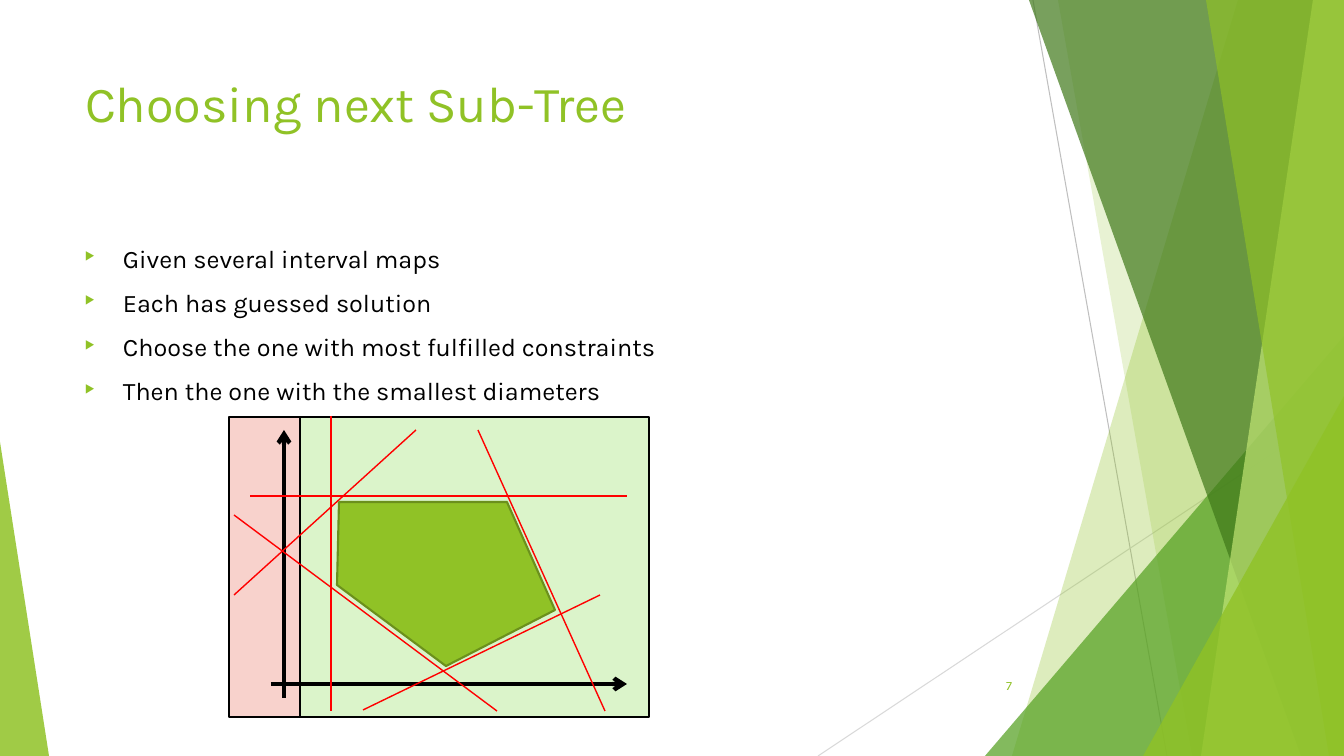
from lxml import etree
from pptx import Presentation
from pptx.dml.color import RGBColor
from pptx.enum.shapes import MSO_CONNECTOR, MSO_SHAPE
from pptx.enum.text import MSO_ANCHOR, PP_ALIGN
from pptx.oxml.ns import qn
from pptx.util import Pt

STRAIGHT = MSO_CONNECTOR.STRAIGHT
RECTANGLE, TRIANGLE = MSO_SHAPE.RECTANGLE, MSO_SHAPE.ISOSCELES_TRIANGLE
TOP, MIDDLE = MSO_ANCHOR.TOP, MSO_ANCHOR.MIDDLE
LEFT, RIGHT = PP_ALIGN.LEFT, PP_ALIGN.RIGHT

SCALE = 914400 / 100.8
WIDTH, HEIGHT = 1344, 756
FONT = "Karla"
BLACK = RGBColor(0x00, 0x00, 0x00)
RED = RGBColor(0xFF, 0x00, 0x00)
GREEN = RGBColor(0x90, 0xC2, 0x26)
MID_GREEN = RGBColor(0x54, 0xA0, 0x21)
DARK_GREEN = RGBColor(0x3F, 0x78, 0x19)
LIGHT_GREEN = RGBColor(0xC0, 0xE4, 0x74)
EDGE_GREEN = RGBColor(0x6B, 0x90, 0x1C)
PALE_GREEN = RGBColor(0xDB, 0xF4, 0xCA)
PALE_RED = RGBColor(0xF8, 0xD2, 0xCC)
GREY = RGBColor(0xBF, 0xBF, 0xBF)
LIGHT_GREY = RGBColor(0xD9, 0xD9, 0xD9)


def emu(pixels):
    return round(pixels * SCALE)


def add_element(parent, tag, **attributes):
    element = etree.SubElement(parent, qn(tag))
    for name, value in attributes.items():
        element.set(name, str(value))
    return element


def write_text(frame, lines, size, color=BLACK, align=LEFT, anchor=TOP,
               space_before=0, bullet=None):
    frame.word_wrap = True
    frame.vertical_anchor = anchor
    for index, line in enumerate(lines):
        para = frame.paragraphs[0] if index == 0 else frame.add_paragraph()
        para.alignment = align
        para.space_before = Pt(space_before)
        span = para.add_run()
        span.text = line
        span.font.name, span.font.size = FONT, Pt(size)
        span.font.color.rgb = color
        if bullet:
            props = para._p.get_or_add_pPr()
            props.set("marL", str(emu(38)))
            props.set("indent", str(-emu(38)))
            add_element(add_element(props, "a:buClr"), "a:srgbClr", val=GREEN)
            add_element(props, "a:buSzPct", val=45000)
            add_element(props, "a:buChar", char=bullet)


class SlideBuilder:
    def __init__(self, page):
        self.page = page

    def style(self, shape, fill, alpha=100, line=None):
        shape.shadow.inherit = False
        shape.fill.solid()
        shape.fill.fore_color.rgb = fill
        if alpha < 100:
            color = shape._element.spPr.find(qn("a:solidFill"))[0]
            add_element(color, "a:alpha", val=alpha * 1000)
        if line is None:
            shape.line.fill.background()
        else:
            shape.line.color.rgb = line
            shape.line.width = Pt(1.5)

    def shape(self, kind, area, fill, apex=None, **look):
        shape = self.page.shapes.add_shape(kind, *map(emu, area))
        if apex is not None:
            shape.adjustments[0] = apex
        self.style(shape, fill, **look)

    def polygon(self, points, fill, **look):
        builder = self.page.shapes.build_freeform(*points[0], scale=SCALE)
        builder.add_line_segments(points[1:], close=True)
        self.style(builder.convert_to_shape(), fill, **look)

    def line(self, ends, color, width, arrow=False):
        line = self.page.shapes.add_connector(STRAIGHT, *map(emu, ends))
        line.line.color.rgb = color
        line.line.width = Pt(width)
        if arrow:
            add_element(line.line._get_or_add_ln(), "a:tailEnd", type="arrow")
        add_element(line._element.spPr, "a:effectLst")

    def title(self, area, text, **form):
        title = self.page.shapes.title
        title.left, title.top, title.width, title.height = map(emu, area)
        write_text(title.text_frame, [text], **form)

    def text(self, area, lines, **form):
        box = self.page.shapes.add_textbox(*map(emu, area))
        write_text(box.text_frame, lines, **form)


deck = Presentation()
deck.slide_width, deck.slide_height = emu(WIDTH), emu(HEIGHT)
slide = SlideBuilder(deck.slides.add_slide(deck.slide_layouts[5]))

# Facets on the right: each band runs from its top and bottom x to the edge
def add_band(top, bottom, fill, alpha):
    slide.polygon([(top, 0), (WIDTH, 0), (WIDTH, HEIGHT), (bottom, HEIGHT)],
                  fill, alpha=alpha)


def add_corner(left, top, width, fill, alpha, apex):
    slide.shape(TRIANGLE, (left, top, width, HEIGHT - top), fill,
                alpha=alpha, apex=apex)


slide.line((1033, 0, 1167, HEIGHT), GREY, 0.75)
slide.line((WIDTH, 406, 818, HEIGHT), LIGHT_GREY, 0.75)
add_band(1238, 1012, GREEN, 30)
add_band(1058, 1192, GREEN, 20)
add_corner(985, 336, 359, MID_GREEN, 72, apex=1)
add_band(1029, 1301, DARK_GREEN, 70)
add_band(1313, 1201, LIGHT_GREEN, 70)
add_band(1206, 1329, GREEN, 65)
add_corner(1143, 396, 201, GREEN, 80, apex=1)
add_corner(0, 442, 49, GREEN, 85, apex=0)

# Diagram background: rejected and kept intervals
slide.shape(RECTANGLE, (229, 417, 71, 300), PALE_RED, line=BLACK)
slide.shape(RECTANGLE, (300, 417, 349, 300), PALE_GREEN, line=BLACK)

# Text
slide.title((75, 67, 947, 145), "Choosing next Sub-Tree", size=36, color=GREEN)
slide.text((75, 238, 947, 427), [
    "Given several interval maps",
    "Each has guessed solution",
    "Choose the one with most fulfilled constraints",
    "Then the one with the smallest diameters",
], size=18, space_before=10, bullet="\u25b6")
slide.text((947, 666, 75, 40), ["7"], size=9, color=GREEN, align=RIGHT,
           anchor=MIDDLE)

# Axes
for axis in [(284, 698, 284, 430), (271, 684, 627, 684)]:
    slide.line(axis, BLACK, 3, arrow=True)

# Constraints around the feasible region
for constraint in [
    (234, 595, 416, 430), (234, 515, 497, 711), (363, 710, 600, 595),
    (605, 711, 478, 430), (627, 496, 250, 496), (331, 416, 331, 711),
]:
    slide.line(constraint, RED, 1)
slide.polygon([(339, 502), (337, 585), (446, 666), (555, 610), (507, 502)],
              GREEN, line=EDGE_GREEN)

deck.save("out.pptx")
